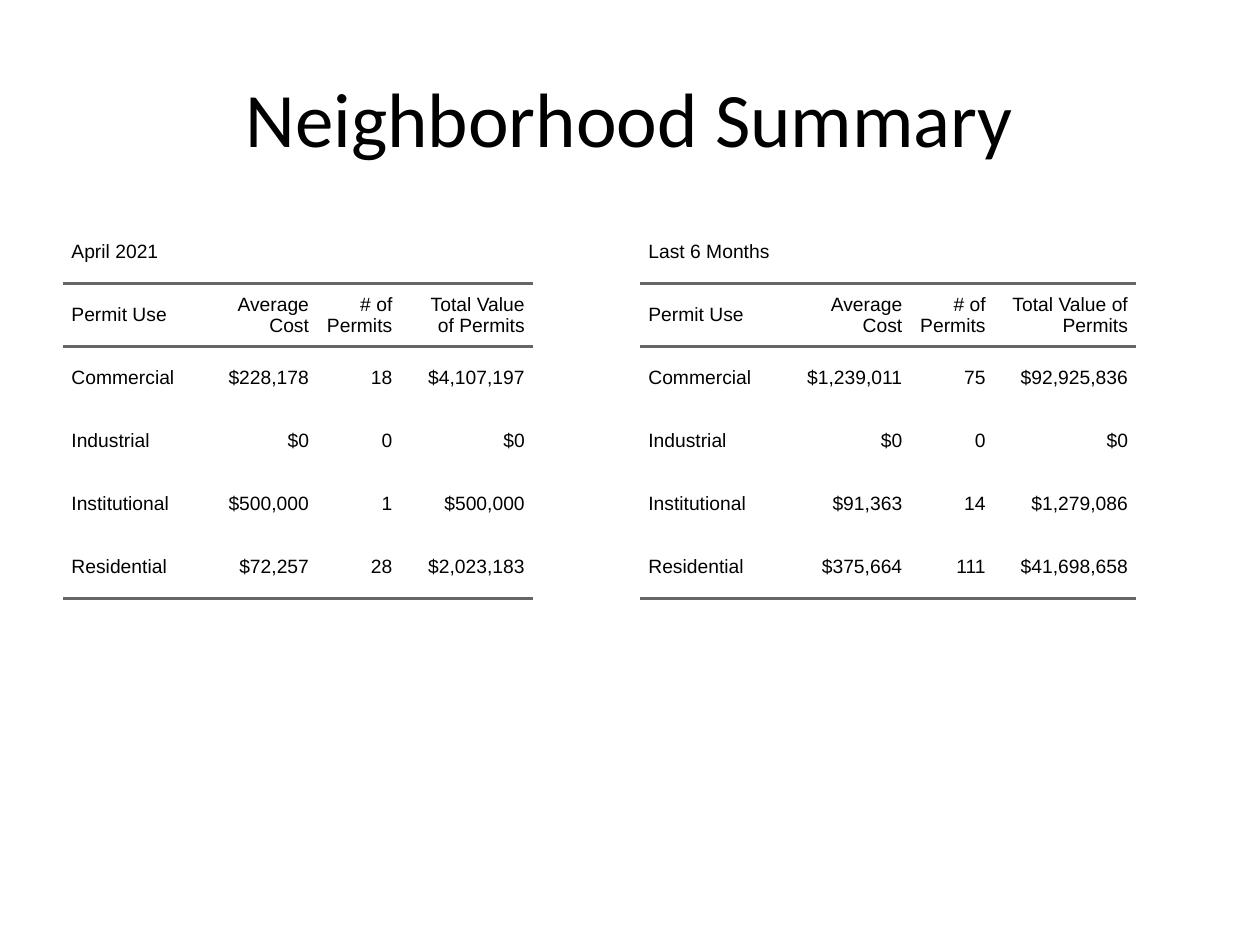
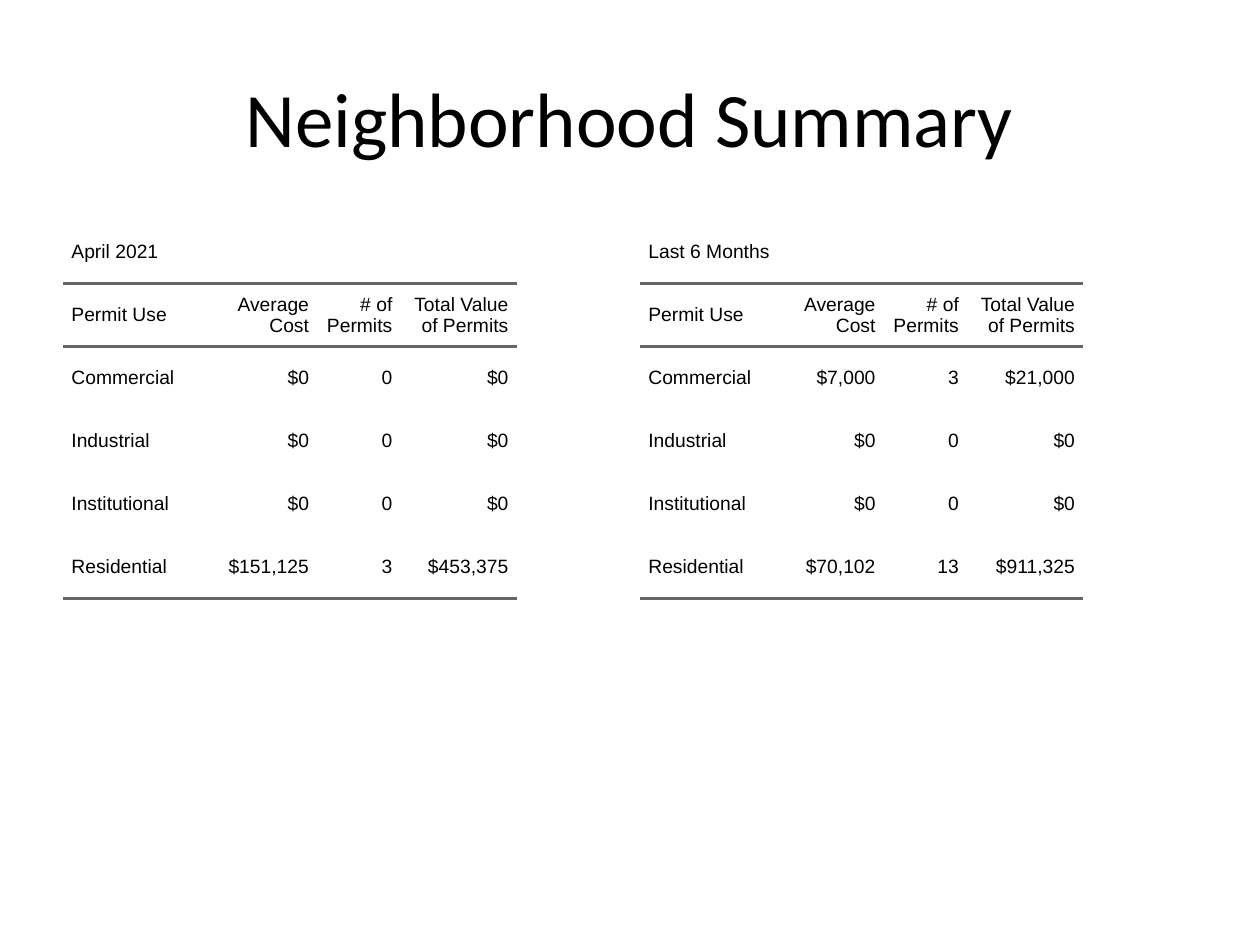
from dataclasses import dataclass

from lxml import etree
from pptx import Presentation
from pptx.dml.color import RGBColor
from pptx.enum.text import MSO_ANCHOR, PP_ALIGN
from pptx.oxml.ns import qn
from pptx.util import Cm, Pt

MIDDLE = MSO_ANCHOR.MIDDLE
LEFT, CENTER, RIGHT = PP_ALIGN.LEFT, PP_ALIGN.CENTER, PP_ALIGN.RIGHT
BLANK_LAYOUT = 6
PLAIN_TABLE_STYLE = "{2D5ABB26-0587-4C30-8999-92F81FD0307C}"


@dataclass(frozen=True)
class Theme:
    ink: str = "000000"
    rule: str = "666666"
    rule_width: int = Pt(2)
    title_font: str = "Calibri"
    title_size: int = Pt(44)
    table_font: str = "Arial"
    table_size: int = Pt(11)


@dataclass(frozen=True)
class Box:
    left: float
    top: float
    width: float
    height: float


@dataclass(frozen=True)
class PermitSummary:
    """One period: widths of the two money columns, and a row of
    average cost, permit count and total value for each permit use."""
    period: str
    average_width: float
    total_width: float
    rows: tuple


THEME = Theme()
TITLE = "Neighborhood Summary"
TITLE_BOX = Box(1.27, 0.76, 22.86, 3.18)
TABLE_BOX = Box(1.27, 4.45, 11.23, 7.62)
TABLE_GAP = 0.4
USE_WIDTH, COUNT_WIDTH = 2.79, 1.68
CELL_FORMAT = {
    "margin_left": Cm(0.17), "margin_right": Cm(0.17),
    "margin_top": 0, "margin_bottom": 0, "vertical_anchor": MIDDLE,
}
HEADINGS = ("Permit Use", "Average Cost", "# of Permits",
            "Total Value of Permits")
PERMIT_USES = ("Commercial", "Industrial", "Institutional", "Residential")
NO_PERMITS = (0, 0, 0)

NEIGHBORHOODS = (
    (
        PermitSummary("April 2021", 2.34, 2.67, (
            (228178, 18, 4107197), NO_PERMITS,
            (500000, 1, 500000), (72257, 28, 2023183))),
        PermitSummary("Last 6 Months", 2.67, 2.87, (
            (1239011, 75, 92925836), NO_PERMITS,
            (91363, 14, 1279086), (375664, 111, 41698658))),
    ),
    (
        PermitSummary("April 2021", 2.34, 2.34, (
            NO_PERMITS, NO_PERMITS, NO_PERMITS, (151125, 3, 453375))),
        PermitSummary("Last 6 Months", 2.13, 2.34, (
            (7000, 3, 21000), NO_PERMITS, NO_PERMITS,
            (70102, 13, 911325))),
    ),
)


def apply_format(target, values):
    for name, value in values.items():
        setattr(target, name, value)


def write_text(text_frame, text, font_name, font_size, alignment):
    paragraph = text_frame.paragraphs[0]
    paragraph.text = text
    paragraph.alignment = alignment
    apply_format(paragraph.font, {"name": font_name, "size": font_size})
    paragraph.font.color.rgb = RGBColor.from_string(THEME.ink)


def add_rule(cell, side):
    """Draw a border on one side of a cell: "T" or "B"."""
    line = etree.SubElement(cell._tc.get_or_add_tcPr(), qn(f"a:ln{side}"),
                            w=str(THEME.rule_width))
    fill = etree.SubElement(line, qn("a:solidFill"))
    etree.SubElement(fill, qn("a:srgbClr"), val=THEME.rule)


def fill_cell(cell, text, alignment, rule_sides):
    for side in rule_sides:
        add_rule(cell, side)
    cell.fill.background()
    apply_format(cell, CELL_FORMAT)
    write_text(cell.text_frame, text, THEME.table_font, THEME.table_size,
               alignment)


def add_title(slide, box):
    shape = slide.shapes.add_textbox(Cm(box.left), Cm(box.top),
                                     Cm(box.width), Cm(box.height))
    apply_format(shape.text_frame,
                 {"word_wrap": True, "vertical_anchor": MIDDLE})
    write_text(shape.text_frame, TITLE, THEME.title_font, THEME.title_size,
               CENTER)


def add_permit_table(slide, box, summary):
    lines = [(summary.period, "", "", ""), HEADINGS]
    for use, (average, count, total) in zip(PERMIT_USES, summary.rows):
        lines.append((use, f"${average:,}", str(count), f"${total:,}"))
    table = slide.shapes.add_table(
        len(lines), len(HEADINGS), Cm(box.left), Cm(box.top),
        Cm(box.width), Cm(box.height)).table
    apply_format(table, {"first_row": False, "horz_banding": False})
    table._tbl.tblPr.find(qn("a:tableStyleId")).text = PLAIN_TABLE_STYLE

    widths = (USE_WIDTH, summary.average_width, COUNT_WIDTH,
              summary.total_width)
    for column, width in zip(table.columns, widths):
        column.width = Cm(width)

    rule_sides = {1: "TB", len(lines) - 1: "B"}
    for row, texts in enumerate(lines):
        for column, text in enumerate(texts):
            fill_cell(table.cell(row, column), text,
                      RIGHT if column else LEFT, rule_sides.get(row, ""))
    table.cell(0, 0).merge(table.cell(0, len(HEADINGS) - 1))


def add_summary_slide(presentation, summaries):
    slide = presentation.slides.add_slide(
        presentation.slide_layouts[BLANK_LAYOUT])
    for index, summary in enumerate(summaries):
        left = TABLE_BOX.left + index * (TABLE_BOX.width + TABLE_GAP)
        box = Box(left, TABLE_BOX.top, TABLE_BOX.width, TABLE_BOX.height)
        add_permit_table(slide, box, summary)
    add_title(slide, TITLE_BOX)


def main():
    presentation = Presentation()
    apply_format(presentation,
                 {"slide_width": Cm(25.4), "slide_height": Cm(19.05)})
    for summaries in NEIGHBORHOODS:
        add_summary_slide(presentation, summaries)
    presentation.save("out.pptx")


if __name__ == "__main__":
    main()
